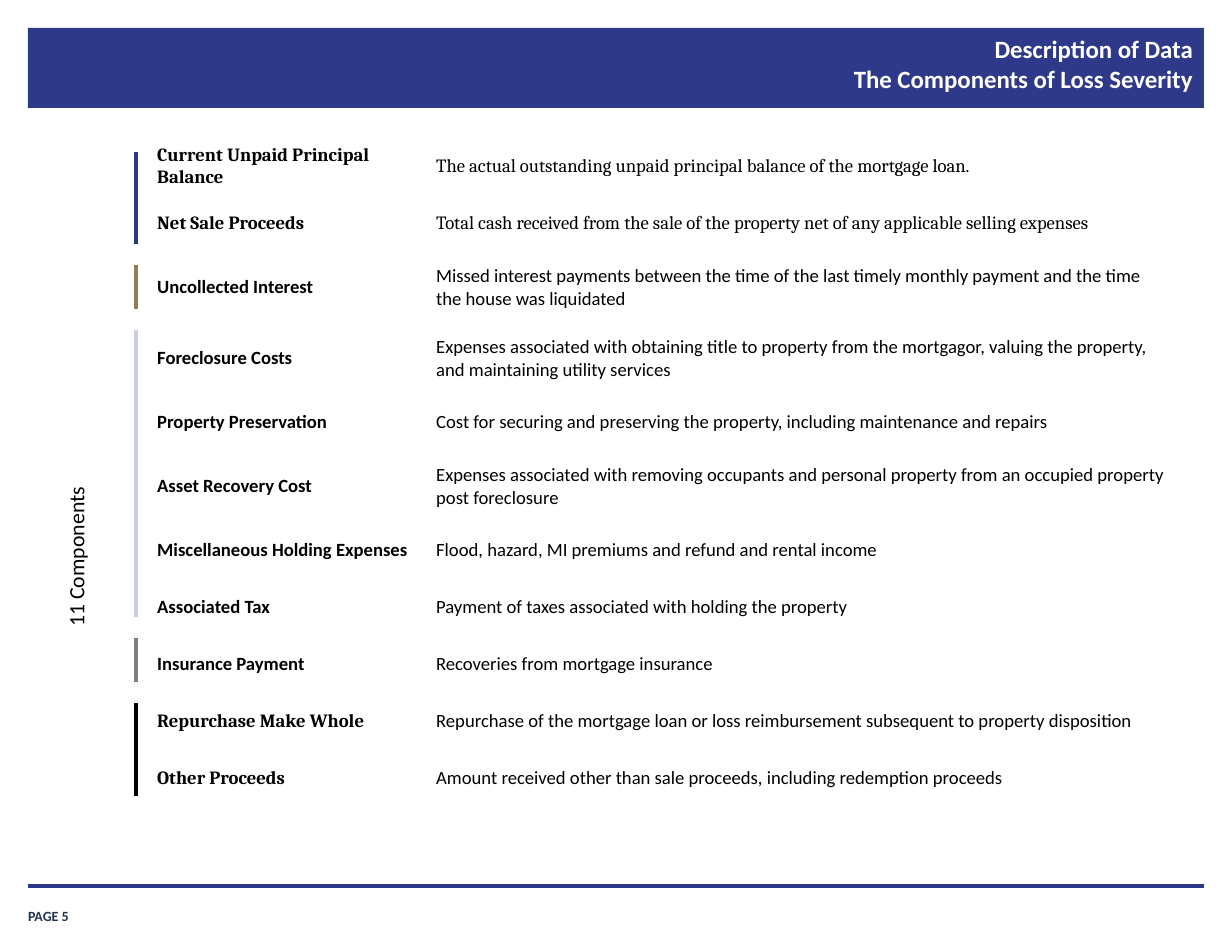
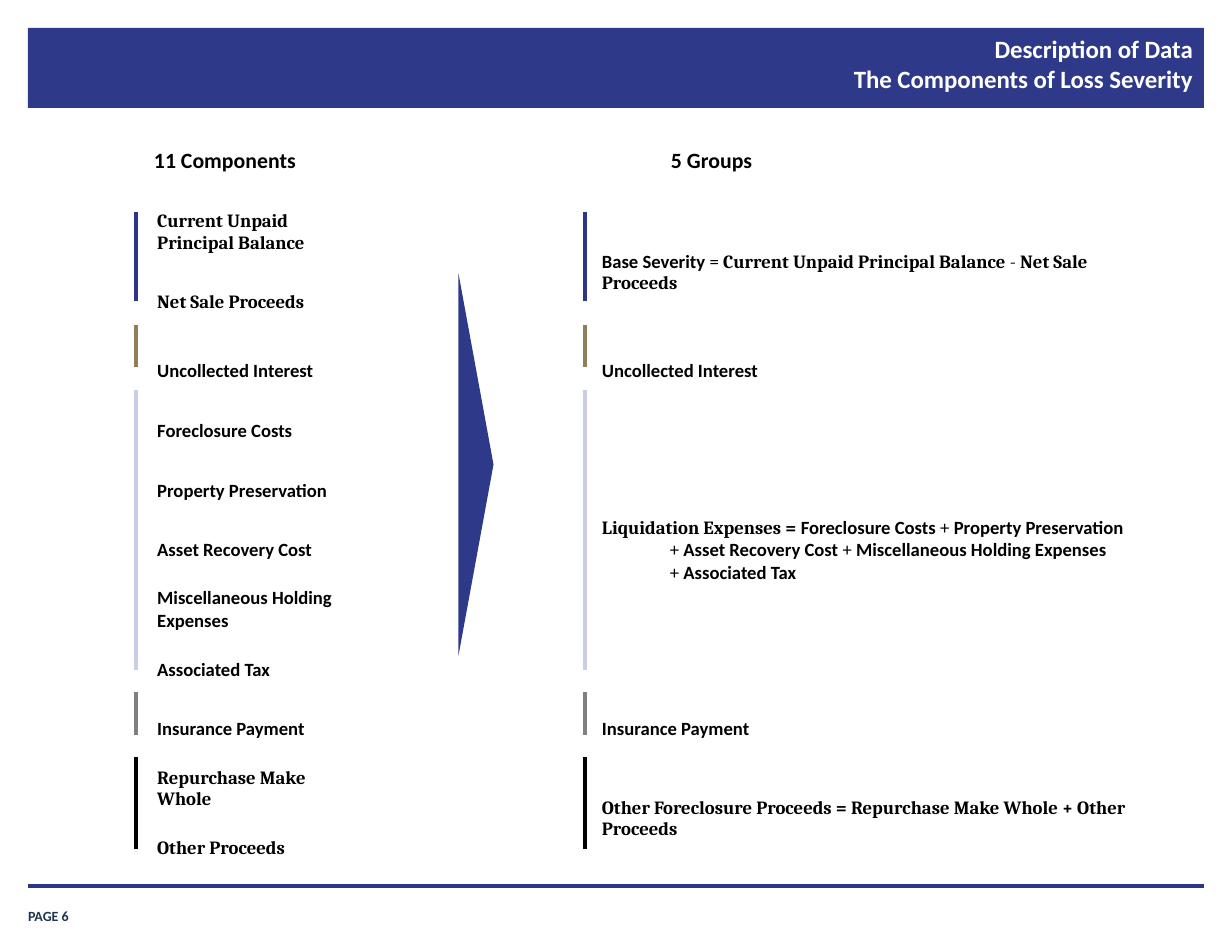
from dataclasses import dataclass
from lxml import etree
from pptx import Presentation
from pptx.dml.color import RGBColor
from pptx.enum.shapes import MSO_CONNECTOR, MSO_SHAPE
from pptx.enum.text import MSO_ANCHOR, PP_ALIGN
from pptx.oxml.ns import qn
from pptx.util import Pt

LEFT, RIGHT = PP_ALIGN.LEFT, PP_ALIGN.RIGHT
TOP, MIDDLE, BOTTOM = MSO_ANCHOR.TOP, MSO_ANCHOR.MIDDLE, MSO_ANCHOR.BOTTOM
STRAIGHT = MSO_CONNECTOR.STRAIGHT
RECT, TRIANGLE = MSO_SHAPE.RECTANGLE, MSO_SHAPE.ISOSCELES_TRIANGLE
PX = 914400 / 112


@dataclass(frozen=True)
class Theme:
    band: RGBColor = RGBColor.from_string("2E398A")
    navy: RGBColor = RGBColor.from_string("2B3689")
    tan: RGBColor = RGBColor.from_string("937D57")
    lilac: RGBColor = RGBColor.from_string("CACDE6")
    grey: RGBColor = RGBColor.from_string("808080")
    black: RGBColor = RGBColor.from_string("000000")
    white: RGBColor = RGBColor.from_string("FFFFFF")
    footer: RGBColor = RGBColor.from_string("203353")
    sans: str = "Calibri"
    serif: str = "Cambria"
    title_size: int = 16
    label_size: int = 14
    body_size: int = 12
    footer_size: int = 9


T = Theme()


def px(*values):
    return [round(v * PX) for v in values]


def write(tf, paragraphs, size, color=T.black, align=LEFT, indent=0):
    for i, runs in enumerate(paragraphs):
        p = tf.paragraphs[0] if i == 0 else tf.add_paragraph()
        p.alignment = align
        if i and indent:
            p._p.get_or_add_pPr().set("marL", str(px(indent)[0]))
        p.font.size = Pt(size)
        p.font.color.rgb = color
        if len(runs) == 1:
            p.font.name, p.font.bold = runs[0][1:]
        for text, name, bold in runs:
            for j, part in enumerate(text.split("\n")):
                if j:
                    p.add_line_break()
                r = p.add_run()
                r.text = part
                if len(runs) > 1:
                    r.font.name, r.font.bold = name, bold


BOLD, PLAIN = (T.sans, True), (T.sans, False)
SERIF_BOLD, SERIF = (T.serif, True), (T.serif, False)

components = [
    ("Current Unpaid Principal Balance", SERIF_BOLD,
     "The actual outstanding unpaid principal balance of the mortgage loan.", SERIF, 57),
    ("Net Sale Proceeds", SERIF_BOLD,
     "Total cash received from the sale of the property net of any applicable selling expenses", SERIF, 57),
    ("Uncollected Interest", BOLD,
     "Missed interest payments between the time of the last timely monthly payment and the time "
     "the house was liquidated", PLAIN, 71),
    ("Foreclosure Costs", BOLD,
     "Expenses associated with obtaining title to property from the mortgagor, valuing the property, "
     "and maintaining utility services", PLAIN, 71),
    ("Property Preservation", BOLD,
     "Cost for securing and preserving the property, including maintenance and repairs", PLAIN, 57),
    ("Asset Recovery Cost", BOLD,
     "Expenses associated with removing occupants and personal property from an occupied property "
     "post foreclosure", PLAIN, 71),
    ("Miscellaneous Holding Expenses", BOLD,
     "Flood, hazard, MI premiums and refund and rental income", PLAIN, 57),
    ("Associated Tax", BOLD, "Payment of taxes associated with holding the property", PLAIN, 57),
    ("Insurance Payment", BOLD, "Recoveries from mortgage insurance", PLAIN, 57),
    ("Repurchase Make Whole", SERIF_BOLD,
     "Repurchase of the mortgage loan or loss reimbursement subsequent to property disposition", PLAIN, 57),
    ("Other Proceeds", SERIF_BOLD,
     "Amount received other than sale proceeds, including redemption proceeds", PLAIN, 57),
]

groups = [
    (0, 1, [[("Base Severity ", *BOLD), ("= ", *PLAIN),
             ("Current Unpaid Principal Balance", *SERIF_BOLD), (" - ", *SERIF),
             ("Net Sale Proceeds", *SERIF_BOLD)]]),
    (2, 2, [[("Uncollected Interest", *BOLD)]]),
    (3, 7, [[("Liquidation Expenses = ", *SERIF_BOLD), ("Foreclosure Costs ", *BOLD),
             ("+ ", *PLAIN), ("Property Preservation", *BOLD)],
            [("+ ", *PLAIN), ("Asset Recovery Cost", *BOLD), (" + ", *PLAIN),
             ("Miscellaneous Holding Expenses", *BOLD)],
            [("+ ", *PLAIN), ("Associated Tax", *BOLD)]]),
    (8, 8, [[("Insurance Payment", *BOLD)]]),
    (9, 10, [[("Other Foreclosure Proceeds = Repurchase Make Whole + Other Proceeds", *SERIF_BOLD)]]),
]

bar_colors = [T.navy, T.tan, T.lilac, T.grey, T.black]
pages = [
    dict(number=5, table_top=138, columns=[279, 757], heights=[c[4] for c in components],
         bar_xs=[136], bars=[(152, 244), (265, 309), (330, 617), (638, 682), (703, 796)],
         labels=[("11 Components", 57, 255, 49, 383, False)]),
    dict(number=6, table_top=203, columns=[220, 219, 597], heights=[59, 80] + [59, 60, 60] * 3,
         bar_xs=[136, 585], bars=[(212, 301), (325, 367), (390, 670), (692, 735), (757, 849)],
         labels=[("11 Components", 143, 141, 207, 49, True), ("5 Groups", 660, 141, 207, 49, True)]),
]

prs = Presentation()
prs.slide_width, prs.slide_height = px(1232, 952)

for page in pages:
    s = prs.slides.add_slide(prs.slide_layouts[6])

    band = s.shapes.add_shape(RECT, *px(28, 28, 1176, 80))
    band.shadow.inherit = False
    band.fill.solid()
    band.fill.fore_color.rgb = T.band
    band.line.fill.background()

    tf = s.shapes.add_textbox(*px(372, 27, 833, 83)).text_frame
    tf.word_wrap = True
    tf.margin_left, tf.margin_top, tf.margin_right, tf.margin_bottom = px(12, 7, 12, 7)
    write(tf, [[("Description of Data\nThe Components of Loss Severity", *BOLD)]],
          T.title_size, T.white, RIGHT)

    tf = s.shapes.add_textbox(*px(28, 898, 102, 26)).text_frame
    tf.word_wrap = True
    tf.vertical_anchor = BOTTOM
    tf.margin_left = tf.margin_top = tf.margin_right = tf.margin_bottom = 0
    write(tf, [[(f"PAGE {page['number']}", *BOLD)]], T.footer_size, T.footer)

    columns, heights = page["columns"], page["heights"]
    table = s.shapes.add_table(len(heights), len(columns),
                               *px(146, page["table_top"], sum(columns), sum(heights))).table
    table.first_row = table.horz_banding = False
    for column, width in zip(table.columns, columns):
        column.width = px(width)[0]
    for row, height in zip(table.rows, heights):
        row.height = px(height)[0]
        for cell in row.cells:
            cell.fill.solid()
            cell.fill.fore_color.rgb = T.white
            cell.vertical_anchor = MIDDLE
    for i, (name, name_font, description, description_font, height) in enumerate(components):
        write(table.cell(i, 0).text_frame, [[(name, *name_font)]], T.body_size)
        if len(columns) == 2:
            write(table.cell(i, 1).text_frame, [[(description, *description_font)]], T.body_size)
    if len(columns) == 3:
        for first, last, paragraphs in groups:
            cell = table.cell(first, 2)
            if last > first:
                cell.merge(table.cell(last, 2))
            cell.margin_left = cell.margin_top = cell.margin_right = cell.margin_bottom = px(17)[0]
            write(cell.text_frame, paragraphs, T.body_size, indent=68)

        arrow = s.shapes.add_shape(TRIANGLE, *px(285, 447, 382, 35))
        arrow.rotation = 90
        arrow.shadow.inherit = False
        arrow.fill.solid()
        arrow.fill.fore_color.rgb = T.band
        arrow.line.fill.background()

    lines = [(28, 886, 1204, 886, T.navy, 2)]
    for x in page["bar_xs"]:
        lines += [(x, top, x, bottom, color, 3)
                  for (top, bottom), color in zip(page["bars"], bar_colors)]
    for x1, y1, x2, y2, color, width in lines:
        line = s.shapes.add_connector(STRAIGHT, *px(x1, y1, x2, y2))
        line.line.color.rgb = color
        line.line.width = Pt(width)
        etree.SubElement(line._element.spPr, qn("a:effectLst"))

    for text, x, y, w, h, bold in page["labels"]:
        tf = s.shapes.add_textbox(*px(x, y, w, h)).text_frame
        tf.word_wrap = True
        tf.vertical_anchor = TOP
        if h > w:
            tf._txBody.bodyPr.set("vert", "vert270")
        write(tf, [[(text, T.sans, bold)]], T.label_size)

prs.save("out.pptx")
